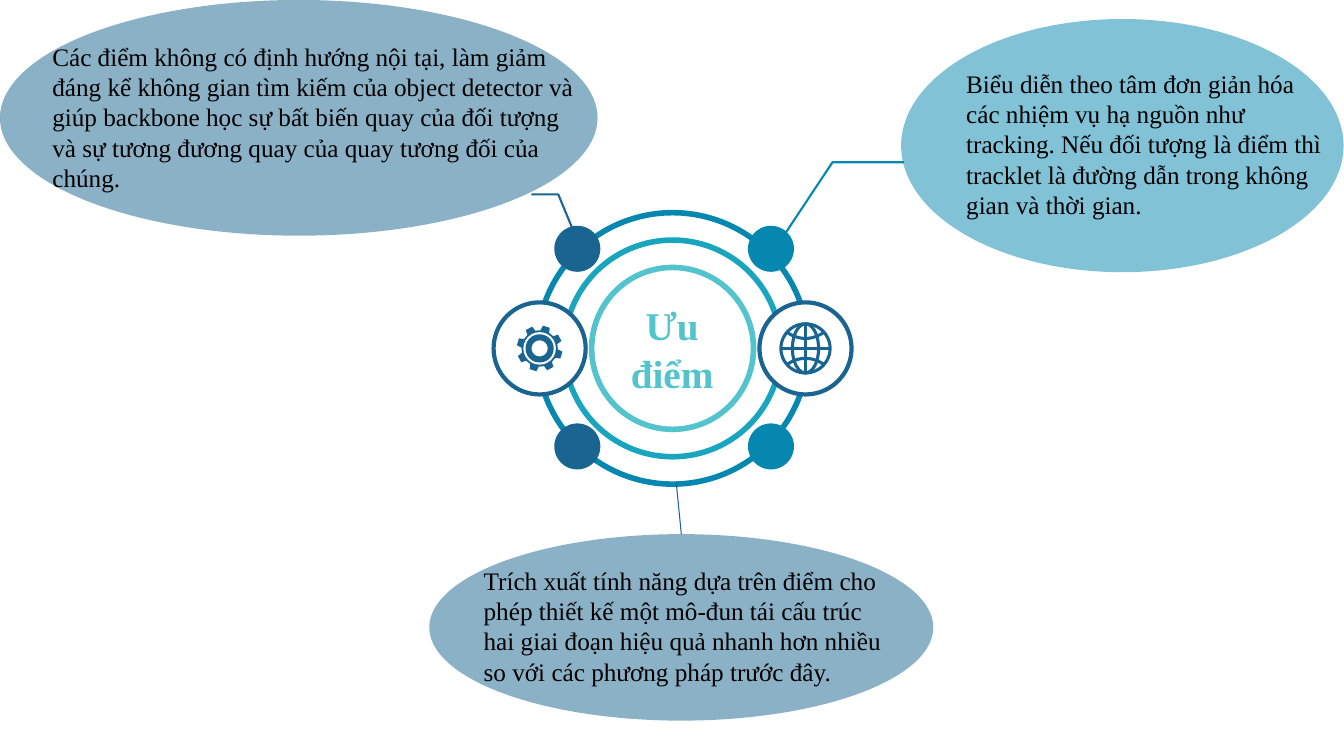
from math import cos, radians, sin

from lxml.etree import SubElement
from pptx import Presentation
from pptx.dml.color import RGBColor
from pptx.enum.shapes import MSO_CONNECTOR, MSO_SHAPE
from pptx.enum.text import MSO_ANCHOR, MSO_AUTO_SIZE, PP_ALIGN
from pptx.oxml.ns import qn
from pptx.util import Cm, Pt

COLORS = {
    "navy": "196491",
    "blue": "0587AF",
    "teal": "19A5BE",
    "aqua": "53C3CD",
    "white": "FFFFFF",
    "black": "000000",
}


def color(name):
    return RGBColor.from_string(COLORS[name])


def write(box, text, size=18, ink="black", bold=False, align=PP_ALIGN.LEFT, font="Times New Roman"):
    frame = box.text_frame
    frame.word_wrap = True
    frame.auto_size = MSO_AUTO_SIZE.SHAPE_TO_FIT_TEXT
    frame.vertical_anchor = MSO_ANCHOR.MIDDLE
    para = frame.paragraphs[0]
    para.alignment = align
    span = para.add_run()
    span.text = text
    span.font.name = font
    span.font.size = Pt(size)
    span.font.bold = bold
    span.font.color.rgb = color(ink)


class Painter:
    def __init__(self, page):
        self.shapes = page.shapes

    def style(self, shape, fill=None, line=None, weight=1, opacity=100):
        shape.shadow.inherit = False
        if fill:
            shape.fill.solid()
            shape.fill.fore_color.rgb = color(fill)
            if opacity < 100:
                tint = next(shape.element.iter(qn("a:srgbClr")))
                SubElement(tint, qn("a:alpha"), val=str(opacity * 1000))
        else:
            shape.fill.background()
        if line:
            shape.line.color.rgb = color(line)
            shape.line.width = Pt(weight)
        else:
            shape.line.fill.background()
        return shape

    def ellipse(self, left, top, width, height, **look):
        shape = self.shapes.add_shape(MSO_SHAPE.OVAL, Cm(left), Cm(top), Cm(width), Cm(height))
        return self.style(shape, **look)

    def circle(self, x, y, radius, **look):
        return self.ellipse(x - radius, y - radius, 2 * radius, 2 * radius, **look)

    def outline(self, points, close=False, **look):
        spots = [(Cm(x), Cm(y)) for x, y in points]
        builder = self.shapes.build_freeform(*spots[0])
        builder.add_line_segments(spots[1:], close=close)
        return self.style(builder.convert_to_shape(), **look)

    def line(self, x1, y1, x2, y2, ink, weight):
        connector = self.shapes.add_connector(MSO_CONNECTOR.STRAIGHT, Cm(x1), Cm(y1), Cm(x2), Cm(y2))
        connector.line.color.rgb = color(ink)
        connector.line.width = Pt(weight)
        SubElement(connector.element.spPr, qn("a:effectLst"))
        return connector

    def text(self, left, top, width, height, text, **look):
        box = self.shapes.add_textbox(Cm(left), Cm(top), Cm(width), Cm(height))
        write(box, text, **look)

    def gear(self, x, y):
        tooth = [(-14, 0.46), (-9, 0.58), (9, 0.58), (14, 0.46)]
        points = []
        for start in range(17, 377, 45):
            for turn, radius in tooth:
                angle = radians(start + turn)
                points.append((x + radius * sin(angle), y - radius * cos(angle)))
        self.outline(points, close=True, fill="navy")
        self.circle(x, y, 0.41, fill="white")
        self.circle(x, y, 0.28, fill="white", line="navy", weight=4.3)

    def globe(self, x, y):
        radius, pen = 0.62, 2.2
        self.circle(x, y, radius, line="navy", weight=pen)
        self.ellipse(x - 0.33, y - radius, 0.66, 2 * radius, line="navy", weight=pen)
        self.line(x - radius, y, x + radius, y, "navy", pen)
        self.line(x, y - radius, x, y + radius, "navy", pen)
        for side in (-1, 1):
            arc = [(x + 0.46 * t / 6, y + side * (0.25 + 0.15 * (t / 6) ** 2)) for t in range(-6, 7)]
            self.outline(arc, line="navy", weight=pen)


def main():
    deck = Presentation()
    deck.slide_width, deck.slide_height = Cm(33.87), Cm(19.05)
    painter = Painter(deck.slides.add_slide(deck.slide_layouts[6]))
    hub_x, hub_y = 16.95, 8.78

    painter.outline([(14.63, 6.25), (14.07, 4.9), (13.39, 4.9)], line="navy", weight=1.5)
    for radius, ink in ((3.42, "blue"), (2.73, "teal"), (2.04, "aqua")):
        painter.circle(hub_x, hub_y, radius, line=ink, weight=4)
    for side, ink in ((1, "blue"), (-1, "navy")):
        for level in (-1, 1):
            painter.circle(16.99 + side * 2.44, 8.76 + level * 2.49, 0.58, fill=ink)

    painter.ellipse(22.71, 0.48, 11.15, 6.38, fill="blue", opacity=50)
    painter.ellipse(0, 0, 15.06, 5.94, fill="navy", opacity=50)
    feature_bubble = painter.ellipse(10.82, 13.46, 12.7, 4.7, fill="navy", opacity=50)

    for side, icon in ((-1, painter.gear), (1, painter.globe)):
        badge_x = hub_x + side * 3.35
        painter.circle(badge_x, hub_y, 1.16, fill="white", line="navy", weight=3)
        icon(badge_x, hub_y)
    painter.outline([(19.46, 6.38), (20.98, 4.09), (22.78, 4.09)], line="blue", weight=1.5)

    painter.text(24.1, 1.57, 9.7, 4.11, "Biểu diễn theo tâm đơn giản hóa các nhiệm vụ hạ nguồn như tracking. "
                 "Nếu đối tượng là điểm thì tracklet là đường dẫn trong không gian và thời gian.")
    painter.text(15.06, 7.47, 3.76, 2.64, "Ưu điểm", size=28, ink="aqua", bold=True, align=PP_ALIGN.CENTER)
    painter.text(1.07, 0.89, 13.94, 4.11, "Các điểm không có định hướng nội tại, làm giảm đáng kể không gian "
                 "tìm kiếm của object detector và giúp backbone học sự bất biến quay của đối tượng và sự tương "
                 "đương quay của quay tương đối của chúng.")
    painter.text(11.94, 14.1, 10.8, 3.33, "Trích xuất tính năng dựa trên điểm cho phép thiết kế một mô-đun "
                 "tái cấu trúc hai giai đoạn hiệu quả nhanh hơn nhiều so với các phương pháp trước đây.")
    painter.line(17.04, 12.14, 17.17, 13.46, "navy", 0.75).end_connect(feature_bubble, 0)
    deck.save("out.pptx")


if __name__ == "__main__":
    main()
